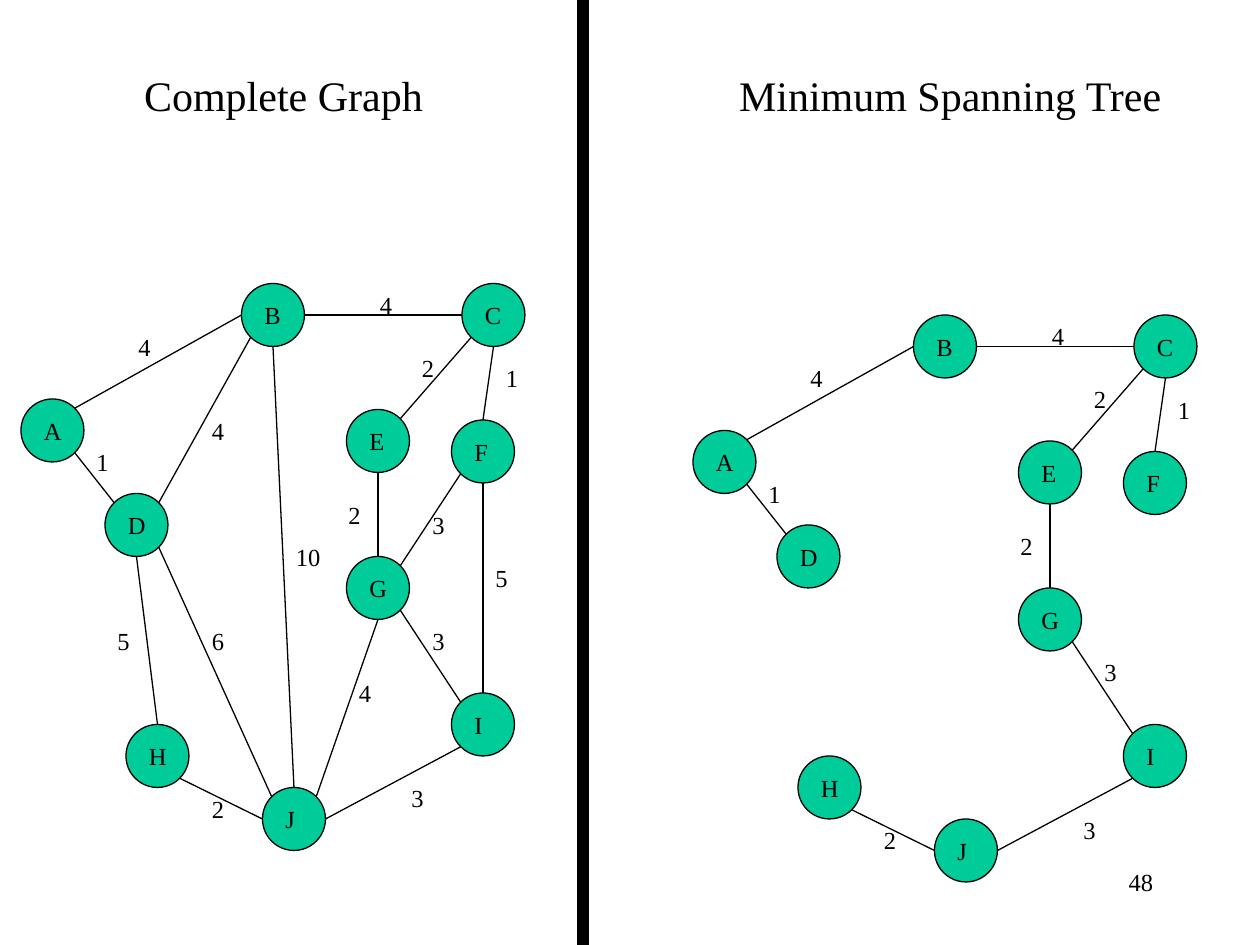
"""Build a slide that sets a weighted graph beside its minimum spanning tree."""
import math
from dataclasses import dataclass

import pptx
import pptx.dml.color
import pptx.enum.shapes
import pptx.enum.text
import pptx.oxml
import pptx.util

ALIGN = pptx.enum.text.PP_ALIGN
AUTO = pptx.enum.text.MSO_AUTO_SIZE
SHAPE = pptx.enum.shapes.MSO_SHAPE


@dataclass(frozen=True)
class Theme:
    """Colours, type and line sizes of the slide."""
    ink: str = "000000"
    node: str = "00CC99"
    font: str = "Times New Roman"
    title: int = 24
    label: int = 14
    line: float = 0.75


THEME = Theme()
COLS, ROWS = 120, 90
SIZE = 6
TREE_SHIFT = (64, 3)

NODES = {
    "A": (2, 38), "B": (23, 27), "C": (44, 27), "D": (10, 47), "E": (33, 39),
    "F": (43, 40), "G": (33, 53), "H": (12, 69), "I": (43, 66), "J": (25, 75),
}

# (start, side, end, side, weight, label cell, in the tree)
EDGES = [
    ("B", "E", "C", "W", 4, (35, 27), True),
    ("A", "NE", "B", "W", 4, (12, 31), True),
    ("A", "SE", "D", "NW", 1, (8, 42), True),
    ("B", "SW", "D", "NE", 4, (19, 39), False),
    ("B", "S", "J", "N", 10, (27, 51), False),
    ("C", "SW", "E", "NE", 2, (39, 33), True),
    ("C", "S", "F", "N", 1, (47, 34), True),
    ("E", "S", "G", "N", 2, (32, 47), True),
    ("F", "SW", "G", "NE", 3, (40, 48), False),
    ("F", "S", "I", "N", 5, (46, 53), False),
    ("G", "SE", "I", "NW", 3, (40, 59), True),
    ("G", "S", "J", "NE", 4, (33, 64), False),
    ("I", "SW", "J", "E", 3, (38, 74), True),
    ("H", "SE", "J", "W", 2, (19, 75), True),
    ("D", "S", "H", "N", 5, (10, 59), False),
    ("D", "SE", "J", "NW", 6, (19, 59), False),
]

SIDES = ["E", "SE", "S", "SW", "W", "NW", "N", "NE"]
ADVANCE = {"B": 0.67, "C": 0.67, "E": 0.61, "F": 0.56, "I": 0.33, "J": 0.39,
           **dict.fromkeys("ADGH", 0.72)}


def grid(*cells):
    """Turn grid units into lengths."""
    return [pptx.util.Inches(10 * c / COLS) for c in cells]


def rgb(value):
    """Give the colour of a hex string."""
    return pptx.dml.color.RGBColor.from_string(value)


def assign(obj, values):
    """Set each attribute named in a dict."""
    for name, value in values.items():
        setattr(obj, name, value)


def style_line(line):
    """Format an outline or an edge."""
    line.color.rgb = rgb(THEME.ink)
    line.width = pptx.util.Pt(THEME.line)


def write(sp, text, size, align, **frame):
    """Put one formatted paragraph into a shape."""
    tf = sp.text_frame
    assign(tf, {"vertical_anchor": pptx.enum.text.MSO_ANCHOR.TOP, **frame})
    p = tf.paragraphs[0]
    p.alignment = align
    r = p.add_run()
    r.text = text
    assign(r.font, {"name": THEME.font, "size": pptx.util.Pt(size)})
    r.font.color.rgb = rgb(THEME.ink)


def add_solid(s, kind, box, fill):
    """Add a filled, outlined shape."""
    sp = s.shapes.add_shape(kind, *grid(*box))
    sp.shadow.inherit = False
    sp.fill.solid()
    sp.fill.fore_color.rgb = rgb(fill)
    style_line(sp.line)


def add_label(s, text, cell):
    """Add a label whose box fits its letters."""
    em = THEME.label / 72 * COLS / 10
    width = 2.4 + em * sum(ADVANCE.get(ch, 0.5) for ch in text)
    sp = s.shapes.add_textbox(*grid(*cell, width, 4))
    write(sp, text, THEME.label, ALIGN.LEFT, word_wrap=False,
          auto_size=AUTO.SHAPE_TO_FIT_TEXT)


def add_title(sp, text, box):
    """Place and fill a heading."""
    assign(sp, dict(zip(("left", "top", "width", "height"), grid(*box))))
    write(sp, text, THEME.title, ALIGN.CENTER, word_wrap=True,
          auto_size=AUTO.SHAPE_TO_FIT_TEXT)


def rim(node, side, shift):
    """Find a compass point on the rim of a node."""
    angle = SIDES.index(side) * math.pi / 4
    turn = (math.cos(angle), math.sin(angle))
    return [n + d + SIZE / 2 * (1 + t)
            for n, d, t in zip(NODES[node], shift, turn)]


def add_edge(s, start, end):
    """Add a straight edge between two grid points."""
    c = s.shapes.add_connector(pptx.enum.shapes.MSO_CONNECTOR.STRAIGHT,
                               *grid(*start, *end))
    style_line(c.line)
    c._element.spPr.append(pptx.oxml.parse_xml(
        '<a:effectLst xmlns:a='
        '"http://schemas.openxmlformats.org/drawingml/2006/main"/>'))


def add_graph(s, edges, shift=(0, 0)):
    """Draw the nodes, the edges and all their labels."""
    dx, dy = shift
    for x, y in NODES.values():
        add_solid(s, SHAPE.OVAL, (x + dx, y + dy, SIZE, SIZE), THEME.node)
    for a, a_side, b, b_side, weight, (x, y), _ in edges:
        add_edge(s, rim(a, a_side, shift), rim(b, b_side, shift))
        add_label(s, str(weight), (x + dx, y + dy))
    for name, (x, y) in NODES.items():
        add_label(s, name, (x + dx + 1, y + dy + 1))


def main():
    """Build and save the slide."""
    prs = pptx.Presentation()
    prs.slide_width, prs.slide_height = grid(COLS, ROWS)
    s = prs.slides.add_slide(prs.slide_layouts[5])
    add_solid(s, SHAPE.RECTANGLE, (55, 0, 1, ROWS), THEME.ink)
    add_title(s.shapes.title, "Complete Graph", (4, 6, 46, 6))
    tree_box = (69, 6, 43, 6)
    add_title(s.shapes.add_textbox(*grid(*tree_box)),
              "Minimum Spanning Tree", tree_box)
    add_graph(s, EDGES)
    add_graph(s, [e for e in EDGES if e[-1]], TREE_SHIFT)
    number = s.shapes.add_textbox(*grid(86, 82, 25, 6))
    write(number, "48", THEME.label, ALIGN.RIGHT, word_wrap=True)
    prs.save("out.pptx")


if __name__ == "__main__":
    main()
